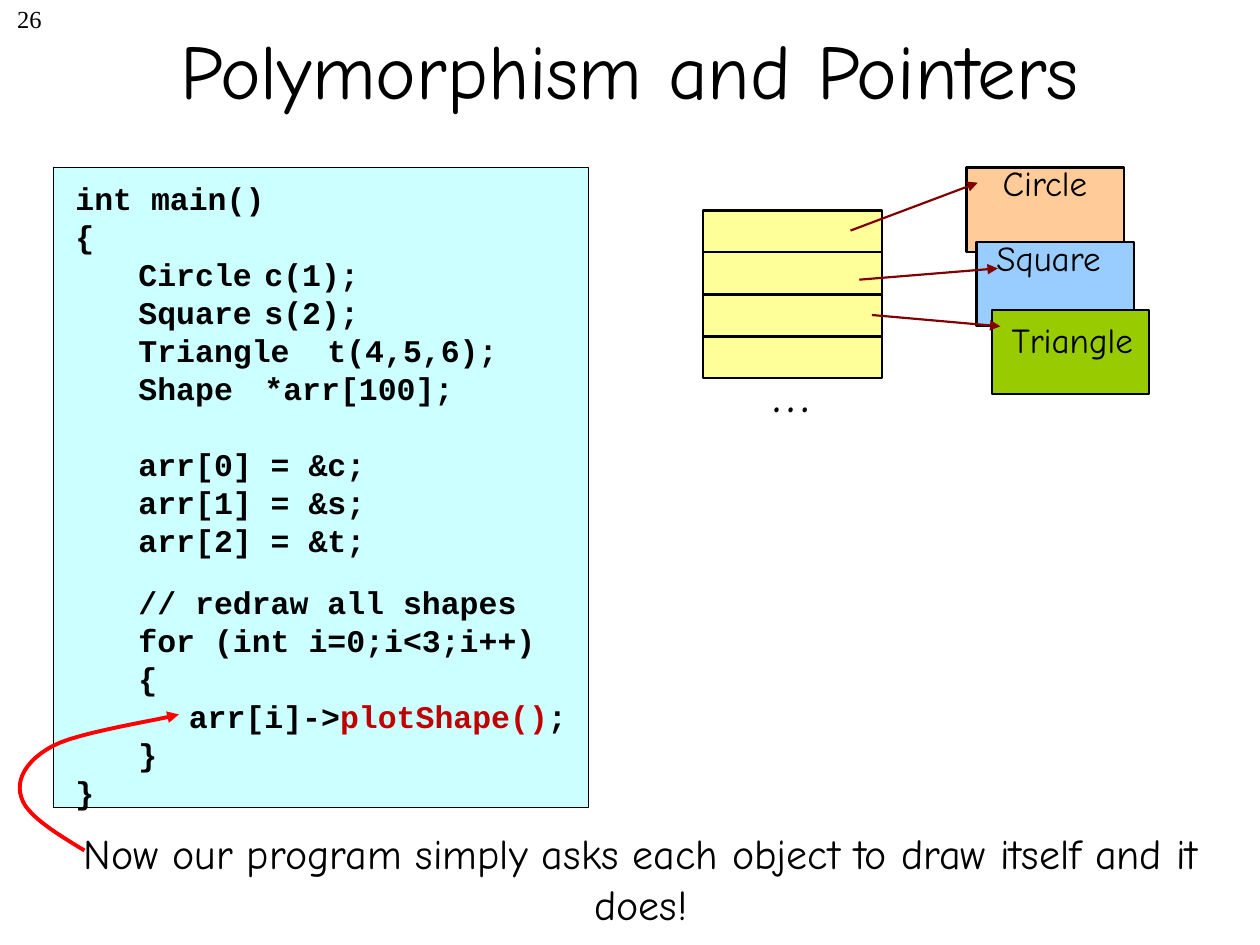
from typing import NamedTuple

from lxml import etree
from pptx import Presentation
from pptx import util as u
from pptx.dml.color import RGBColor
from pptx.enum import shapes, text
from pptx.oxml import ns

BLACK = RGBColor(0x00, 0x00, 0x00)
RED = RGBColor(0xFF, 0x00, 0x00)
CODE_RED = RGBColor(0xC0, 0x00, 0x00)
MAROON = RGBColor(0x80, 0x00, 0x00)
CYAN = RGBColor(0xCC, 0xFF, 0xFF)
YELLOW = RGBColor(0xFF, 0xFF, 0x99)
ORANGE = RGBColor(0xFF, 0xCC, 0x99)
BLUE = RGBColor(0x99, 0xCC, 0xFF)
GREEN = RGBColor(0x99, 0xCC, 0x00)

COMIC, COURIER, TIMES = "Comic Neue", "Courier New", "Times New Roman"
LEFT, CENTER, RIGHT = text.PP_ALIGN.LEFT, text.PP_ALIGN.CENTER, text.PP_ALIGN.RIGHT

Point = tuple[float, float]


class CodeLine(NamedTuple):
    indent: float
    runs: tuple[tuple[str, RGBColor], ...]
    before: float = 0


class ObjectBox(NamedTuple):
    name: str
    corner: Point
    fill: RGBColor
    label_at: Point
    arrow_from: Point
    arrow_to: Point


def code(indent: float, words: str, before: float = 0) -> CodeLine:
    return CodeLine(indent, ((words, BLACK),), before)


CODE = [
    code(0.5, "int main()"),
    code(0.5, "{"),
    code(1, "Circle\tc(1);"),
    code(1, "Square\ts(2);"),
    code(1, "Triangle\tt(4,5,6);"),
    code(1, "Shape\t*arr[100];"),
    code(1, "arr[0] = &c;", before=21.7),
    code(1, "arr[1] = &s;"),
    code(1, "arr[2] = &t;"),
    code(1, "// redraw all shapes", before=13.5),
    code(1, "for (int i=0;i<3;i++)"),
    code(1, "{"),
    CodeLine(1.4, (("arr[i]->", BLACK), ("plotShape()", CODE_RED), (";", BLACK))),
    code(1, "}"),
    code(0.5, "}"),
]

OBJECTS = [
    ObjectBox("Circle", (7.67, 1.33), ORANGE, (7.86, 1.23), (6.75, 1.83), (7.76, 1.45)),
    ObjectBox("Square", (7.75, 1.92), BLUE, (7.81, 1.83), (6.82, 2.22), (7.92, 2.13)),
    ObjectBox("Triangle", (7.87, 2.46), GREEN, (7.93, 2.48), (6.92, 2.5), (7.94, 2.59)),
]

CALL_CURVE = [
    ((0.67, 6.75), (0.44, 6.61), (0.21, 6.47), (0.17, 6.33)),
    ((0.17, 6.33), (0.12, 6.19), (0.21, 6.03), (0.42, 5.92)),
    ((0.42, 5.92), (0.62, 5.81), (1.29, 5.71), (1.42, 5.67)),
]


def add_run(p, words: str, font: str, size: float, color: RGBColor = BLACK, bold: bool = False) -> None:
    r = p.add_run()
    r.text = words
    r.font.name, r.font.size, r.font.bold = font, u.Pt(size), bold
    r.font.color.rgb = color


def text_frame(s, x: float, y: float, w: float, h: float, wrap: bool = True):
    tf = s.shapes.add_textbox(u.Inches(x), u.Inches(y), u.Inches(w), u.Inches(h)).text_frame
    tf.word_wrap = wrap
    return tf


def add_label(s, words: str, x: float, y: float, w: float, h: float, size: float,
              align=CENTER, font: str = COMIC, wrap: bool = True):
    tf = text_frame(s, x, y, w, h, wrap)
    p = tf.paragraphs[0]
    p.alignment = align
    add_run(p, words, font, size)
    return tf


def add_rect(s, x: float, y: float, w: float, h: float, fill: RGBColor, line: float = 1.25) -> None:
    sp = s.shapes.add_shape(shapes.MSO_SHAPE.RECTANGLE,
                            u.Inches(x), u.Inches(y), u.Inches(w), u.Inches(h))
    sp.shadow.inherit = False
    sp.fill.solid()
    sp.fill.fore_color.rgb = fill
    sp.line.color.rgb = BLACK
    sp.line.width = u.Pt(line)


def style_arrow(sp, color: RGBColor, width: float) -> None:
    """Colour the line, point it at its end and remove its shadow."""
    sp.line.color.rgb = color
    sp.line.width = u.Pt(width)
    ln = sp.line._get_or_add_ln()
    etree.SubElement(ln, ns.qn("a:tailEnd"), type="triangle")
    etree.SubElement(sp._element.spPr, ns.qn("a:effectLst"))


def add_arrow(s, start: Point, end: Point) -> None:
    ends = [u.Inches(v) for v in (*start, *end)]
    style_arrow(s.shapes.add_connector(shapes.MSO_CONNECTOR.STRAIGHT, *ends), MAROON, 1.25)


def bezier_point(curve: tuple[Point, ...], t: float) -> Point:
    weights = ((1 - t) ** 3, 3 * t * (1 - t) ** 2, 3 * t * t * (1 - t), t ** 3)
    return tuple(sum(k * pt[axis] for k, pt in zip(weights, curve)) for axis in (0, 1))


def add_curved_arrow(s, curves: list[tuple[Point, ...]], steps: int = 12) -> None:
    points = [bezier_point(c, i / steps) for c in curves for i in range(1, steps + 1)]
    x, y = curves[0][0]
    fb = s.shapes.build_freeform(u.Inches(x), u.Inches(y))
    fb.add_line_segments([(u.Inches(px), u.Inches(py)) for px, py in points], close=False)
    sp = fb.convert_to_shape()
    sp.fill.background()
    style_arrow(sp, RED, 2.25)


def add_code(s, lines: list[CodeLine]) -> None:
    tf = text_frame(s, 0, 1.37, 4.92, 5.1)
    for i, line in enumerate(lines):
        p = tf.add_paragraph() if i else tf.paragraphs[0]
        p.line_spacing = u.Pt(21.7)
        p.space_before = u.Pt(line.before)
        pPr = p._p.get_or_add_pPr()
        pPr.set("marL", "0")
        pPr.set("indent", str(u.Inches(line.indent)))
        tabs = etree.SubElement(pPr, ns.qn("a:tabLst"))
        etree.SubElement(tabs, ns.qn("a:tab"), pos=str(u.Inches(3)), algn="l")
        for words, color in line.runs:
            add_run(p, words, COURIER, 18, color, bold=True)


def main() -> None:
    prs = Presentation()
    prs.slide_width, prs.slide_height = u.Inches(10), u.Inches(7.5)
    s = prs.slides.add_slide(prs.slide_layouts[6])

    add_label(s, "26", 0, -0.02, 0.43, 0.5, 14, RIGHT, TIMES)
    title = add_label(s, "Polymorphism and Pointers", 0.75, -0.08, 8.5, 1.25, 44)
    title.vertical_anchor = text.MSO_ANCHOR.MIDDLE

    add_rect(s, 0.42, 1.33, 4.25, 5.08, CYAN, line=0.25)
    add_code(s, CODE)
    add_label(s, "Now our program simply asks each object to draw itself and it does!",
              0.42, 6.52, 9.33, 0.91, 24)
    add_curved_arrow(s, CALL_CURVE)

    cell_height = 1 / 3
    for row in range(4):
        add_rect(s, 5.58, 1.67 + row * cell_height, 1.42, cell_height, YELLOW)
    add_label(s, "…", 6.03, 2.78, 0.5, 0.63, 32, wrap=False)

    for obj in OBJECTS:
        add_rect(s, *obj.corner, 1.25, 0.67, obj.fill)
        add_arrow(s, obj.arrow_from, obj.arrow_to)
        add_label(s, obj.name, *obj.label_at, 1.3, 0.43, 20, LEFT)

    prs.save("out.pptx")


if __name__ == "__main__":
    main()
